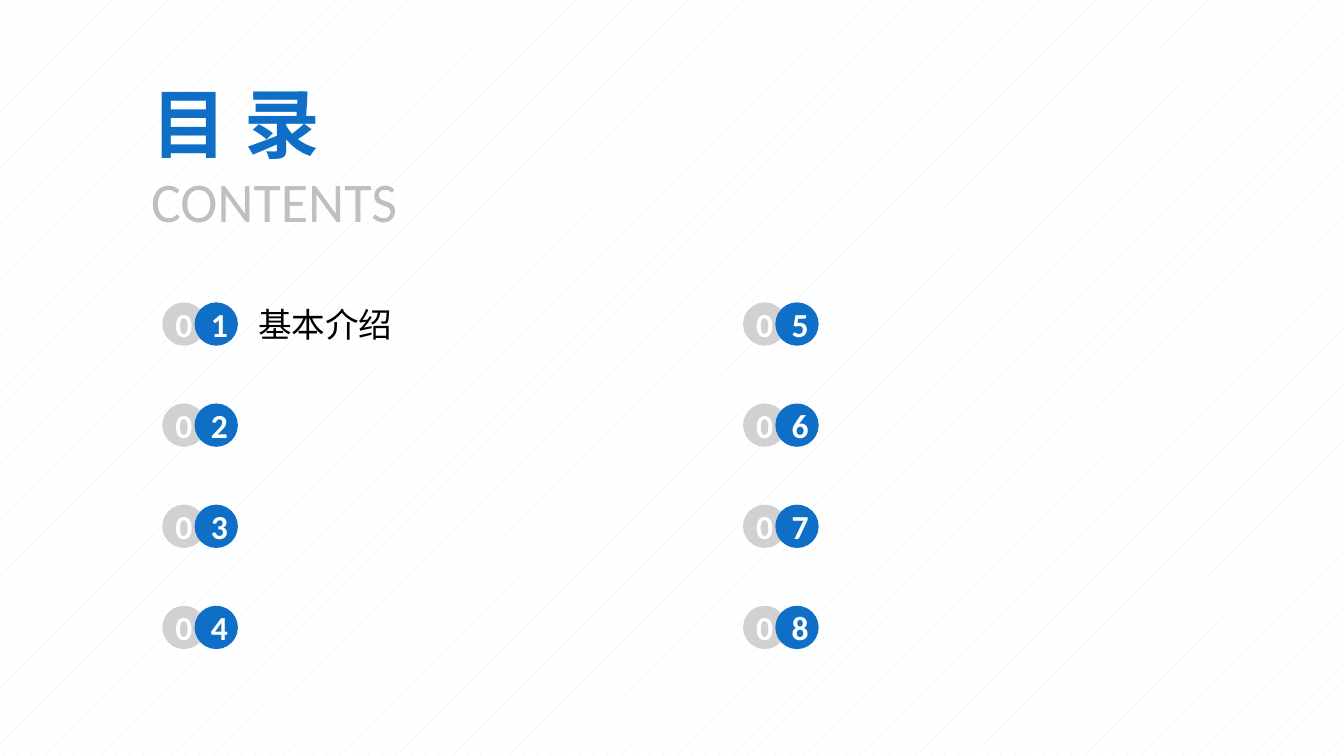
from pptx import Presentation, util as u
from pptx.dml.color import RGBColor
from pptx.enum import dml, shapes, text
from pptx.oxml.ns import qn

HEADING = "目 录"
SUBHEADING = "CONTENTS"
CHAPTERS = [
    ["基本介绍", "", "", ""],
    ["", "", "", ""],
]

BLUE = RGBColor(0x0F, 0x6F, 0xC6)
LIGHT_GREY = RGBColor(0xD1, 0xD1, 0xD1)
MID_GREY = RGBColor(0xBF, 0xBF, 0xBF)
PALE_BLUE = RGBColor(0xD7, 0xF5, 0xFF)
WHITE = RGBColor(0xFF, 0xFF, 0xFF)
BLACK = RGBColor(0, 0, 0)
LATIN = "Calibri"
CHINESE = "Noto Sans CJK SC"

SLIDE_W, SLIDE_H = 13.33, 7.5
HEADING_LEFT, HEADING_W = 1.4, 2.69
GRID_LEFT, GRID_TOP = 1.61, 3.0
COLUMN_STEP, ROW_STEP = 5.76, 1.0033
DISC, DISC_STEP = 0.43, 0.32
LABEL_W, LABEL_H = 3.75, 0.66


def inches(*lengths):
    return [u.Inches(length) for length in lengths]


def write(part, words, size, font, color, bold=False, align=text.PP_ALIGN.LEFT):
    part.text_frame.text = words
    paragraph = part.text_frame.paragraphs[0]
    paragraph.alignment = align
    run = paragraph.runs[0]
    run.font.size = u.Pt(size)
    run.font.name = font
    run.font.bold = bold
    run.font.color.rgb = color
    east_asian = run.font._element.makeelement(qn("a:ea"), {"typeface": font})
    run.font._element.find(qn("a:latin")).addnext(east_asian)


def set_margins(frame, left=0):
    frame.margin_left = u.Inches(left)
    frame.margin_right = frame.margin_top = frame.margin_bottom = 0


def add_disc(entry, left, top, digit, color):
    disc = entry.shapes.add_shape(
        shapes.MSO_SHAPE.OVAL, *inches(left, top, DISC, DISC))
    disc.shadow.inherit = False
    disc.fill.solid()
    disc.fill.fore_color.rgb = color
    disc.line.fill.background()
    disc.text_frame.vertical_anchor = text.MSO_ANCHOR.MIDDLE
    write(disc, digit, 24, LATIN, WHITE, True, text.PP_ALIGN.CENTER)
    return disc


def add_entry(slide, left, top, number, chapter):
    entry = slide.shapes.add_group_shape()
    zero = add_disc(entry, left, top, "0", LIGHT_GREY)
    set_margins(zero.text_frame)
    add_disc(entry, left + DISC_STEP, top, str(number), BLUE)
    if chapter:
        label = entry.shapes.add_textbox(*inches(
            left + DISC_STEP + DISC, top + (DISC - LABEL_H) / 2, LABEL_W, LABEL_H))
        label.text_frame.word_wrap = True
        label.text_frame.vertical_anchor = text.MSO_ANCHOR.MIDDLE
        set_margins(label.text_frame, 0.2)
        write(label, chapter, 24, CHINESE, BLACK)


def main():
    deck = Presentation()
    deck.slide_width, deck.slide_height = inches(SLIDE_W, SLIDE_H)
    slide = deck.slides.add_slide(deck.slide_layouts[5])

    backdrop = slide.background.fill
    backdrop.patterned()
    backdrop.pattern = dml.MSO_PATTERN.PERCENT_5
    backdrop.fore_color.rgb = PALE_BLUE
    backdrop.back_color.rgb = WHITE

    heading = slide.shapes.title
    heading.left, heading.top, heading.width, heading.height = inches(
        HEADING_LEFT, 0.71, HEADING_W, 1.01)
    write(heading, HEADING, 54, CHINESE, BLUE, True)

    subheading = slide.shapes.add_textbox(
        *inches(HEADING_LEFT, 1.6, HEADING_W, 0.77))
    write(subheading, SUBHEADING, 40, LATIN, MID_GREY)

    for part in (heading, subheading):
        part.text_frame.word_wrap = True
        part.text_frame.vertical_anchor = text.MSO_ANCHOR.TOP
        part.text_frame.auto_size = text.MSO_AUTO_SIZE.SHAPE_TO_FIT_TEXT

    number = 0
    for column, chapters in enumerate(CHAPTERS):
        for row, chapter in enumerate(chapters):
            number += 1
            add_entry(slide, GRID_LEFT + column * COLUMN_STEP,
                      GRID_TOP + row * ROW_STEP, number, chapter)

    deck.save("out.pptx")


if __name__ == "__main__":
    main()
